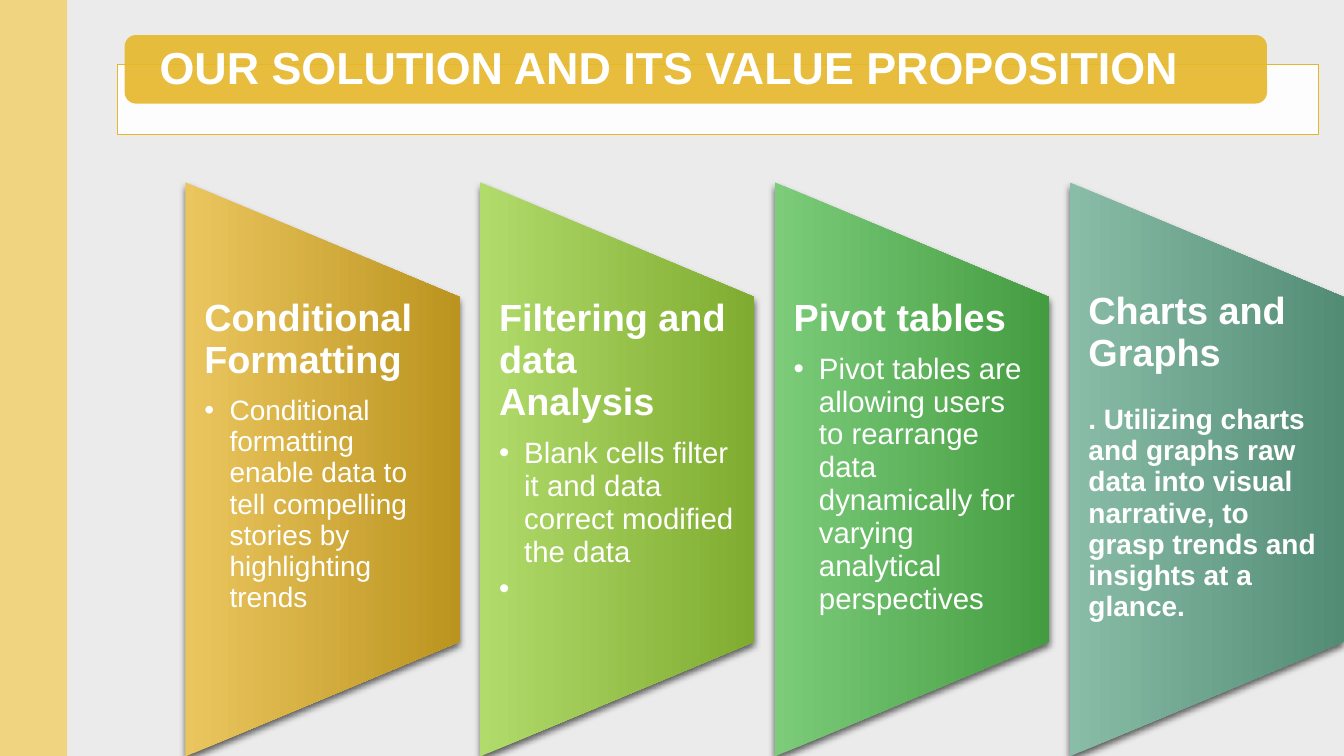
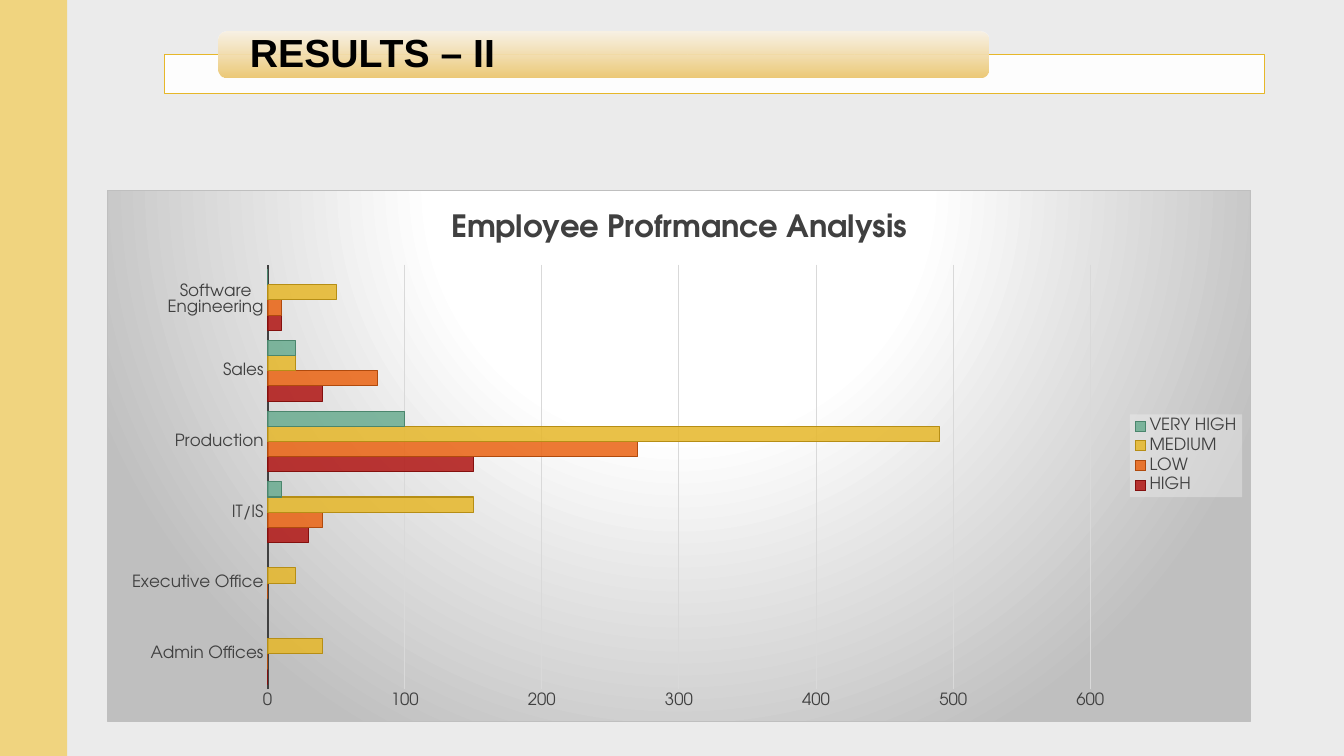
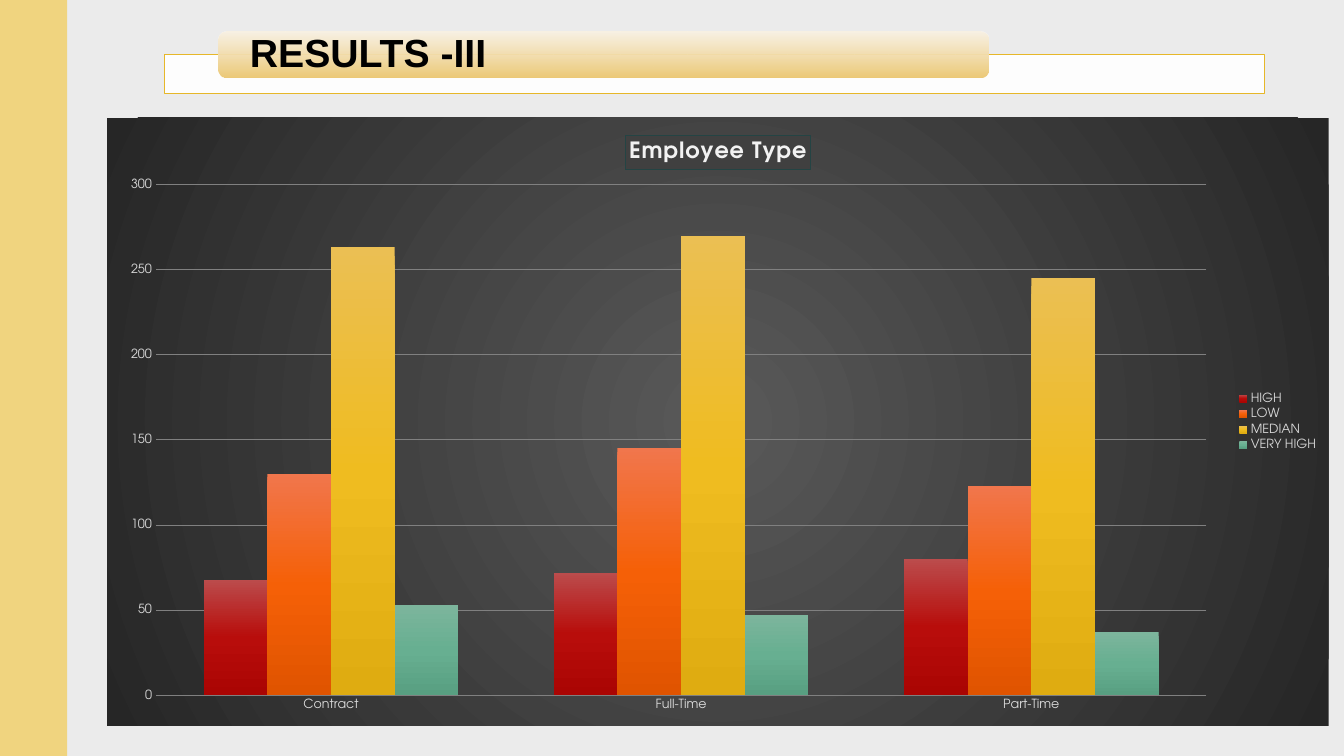
import pptx
import pptx.chart.data
import pptx.dml.color
import pptx.enum.chart
import pptx.enum.shapes
import pptx.enum.text
import pptx.oxml
import pptx.oxml.ns
import pptx.util
from dataclasses import dataclass

Pt = pptx.util.Pt
qn = pptx.oxml.ns.qn
SHAPE = pptx.enum.shapes.MSO_SHAPE
ANCHOR = pptx.enum.text.MSO_ANCHOR
KIND = pptx.enum.chart.XL_CHART_TYPE
NS = pptx.oxml.ns.nsdecls("a", "c")


@dataclass(frozen=True)
class Theme:
    page: str = "EBEBEB"
    band: str = "F0D47F"
    gold: str = "E6B729"
    white: str = "FFFFFF"
    black: str = "000000"
    font: str = "Arial"
    chart: str = "TeX Gyre Adventor"
    head: int = 27
    lead: float = 0.93


T = Theme()

# Title bars: boxes are left, top, width, height
WIDE = dict(frame=(84, 46, 858, 50), bar=(89, 25, 816, 49), pad=25,
            size=32, ink=T.white, fill=[(0, T.gold, 90)])
SLIM = dict(frame=(117.5, 39, 786, 28), bar=(156, 22.5, 550, 33), pad=22.5,
            size=28, ink=T.black, fill=[(0, "FAF2E3", 90), (100, "ECC977", 100)])

CARDS = [
    dict(head="Conditional Formatting", size=20, tint=("EBC65F", "BB941F"),
         items=["Conditional formatting enable data to tell compelling stories "
                "by highlighting trends"]),
    dict(head="Filtering and data Analysis", size=21, tint=("B1DB6B", "7FAC30"),
         items=["Blank cells filter it and data correct modified the data", " "]),
    dict(head="Pivot tables", size=21, tint=("7CCC7A", "449C41"),
         items=["Pivot tables are allowing users to rearrange data dynamically "
                "for varying analytical perspectives"]),
    dict(head="Charts and Graphs", size=20, tint=("89BDA7", "538C74"), lift=5, gap=21,
         note=". Utilizing charts and graphs raw data into visual narrative, to "
              "grasp trends and insights at a glance."),
]
CARD = dict(left=132.5, top=212.5, wide=196, high=245.5, step=210.5, long=410)

SCORES = dict(
    kind=KIND.BAR_CLUSTERED, box=(76.5, 135.5, 817, 380), gap=65,
    title="Employee Profrmance Analysis", head=22, size=12, track=0,
    ink="404040", tone="404040", grid="D9D9D9", axis="404040",
    back=[(0, "FFFFFF", 100), (39, "FFFFFF", 100), (100, "BFBFBF", 100)],
    focus=(50, -80, 50, 180), edge="BFBFBF", key=True,
    plot=(0.14, 0.14, 0.72, 0.8), top=600, unit=100,
    cats=["Admin Offices", "Executive Office", "IT/IS", "Production", "Sales",
          "Software Engineering"],
    series=[
        ("HIGH", [0, None, 30, 150, 40, 10], [(0, "B01513", 85)], "84100E"),
        ("LOW", [0, 0, 40, 270, 80, 10], [(0, "EA6312", 85)], "B04A0D"),
        ("MEDIUM", [40, 20, 150, 490, 20, 50], [(0, "E6B729", 85)], "B68E15"),
        ("VERY HIGH", [None, None, 10, 100, 20, 0], [(0, "6AAC90", 85)], "4B866D"),
    ])


def ramp(*tints):
    return [(at, tint, 100) for at, tint in zip((0, 50, 100), tints)]


TYPES = dict(
    kind=KIND.COLUMN_CLUSTERED, box=(76.5, 84, 872.5, 434.5), gap=150,
    title="Employee Type", head=16, size=9, track=0.8,
    ink="D9D9D9", tone="F2F2F2", grid="808080", axis=None,
    back=[(0, "595959", 100), (100, "262626", 100)],
    focus=(50, 50, 50, 50), edge=None, key=False,
    plot=(0.04, 0.11, 0.86, 0.84), top=300, unit=50,
    cats=["Contract", "Full-Time", "Part-Time"],
    series=[
        ("HIGH", [68, 72, 80], ramp("BB4C4C", "B80D0B", "AA0503"), None),
        ("LOW", [130, 145, 123], ramp("F1764C", "F56007", "E05400"), None),
        ("MEDIAN", [263, 270, 245], ramp("EBBF53", "EFBC20", "DFAC11"), None),
        ("VERY HIGH", [53, 47, 37], ramp("7CB59C", "67AF91", "589F81"), None),
    ])


def rgb(tint):
    return pptx.dml.color.RGBColor.from_string(tint)


def pts(box):
    return [Pt(n) for n in box]


def tinted(tint, alpha):
    return f'<a:srgbClr val="{tint}"><a:alpha val="{alpha * 1000}"/></a:srgbClr>'


def fill_xml(stops, focus=None):
    """One stop gives a solid fill, more give a gradient, radial with a focus."""
    if len(stops) == 1:
        return f"<a:solidFill {NS}>{tinted(*stops[0][1:])}</a:solidFill>"
    marks = "".join(f'<a:gs pos="{at * 1000}">{tinted(tint, alpha)}</a:gs>'
                    for at, tint, alpha in stops)
    run = '<a:lin ang="5400000" scaled="0"/>'
    if focus:
        sides = " ".join(f'{s}="{n * 1000}"' for s, n in zip("ltrb", focus))
        run = f'<a:path path="circle"><a:fillToRect {sides}/></a:path>'
    return f'<a:gradFill {NS} rotWithShape="1"><a:gsLst>{marks}</a:gsLst>{run}</a:gradFill>'


def dress(prior, stops, edge=None, focus=None):
    """Give a chart part its fill and outline, placed after the element prior."""
    line = f'<a:ln w="9525">{fill_xml([(0, edge, 100)])}</a:ln>' if edge else \
        "<a:ln><a:noFill/></a:ln>"
    prior.addnext(pptx.oxml.parse_xml(
        f"<c:spPr {NS}>{fill_xml(stops, focus)}{line}</c:spPr>"))


def block(slide, kind, box, stops, edge=None):
    shape = slide.shapes.add_shape(kind, *pts(box))
    shape.shadow.inherit = False
    shape.fill.solid()
    old = shape.element.spPr.find(qn("a:solidFill"))
    old.getparent().replace(old, pptx.oxml.parse_xml(fill_xml(stops)))
    if edge:
        shape.line.color.rgb = rgb(edge)
        shape.line.width = Pt(0.75)
    else:
        shape.line.fill.background()
    return shape


def write(para, text, size, ink, bold=True, after=0):
    para.line_spacing = T.lead
    para.space_after = Pt(after)
    run = para.add_run()
    run.text = text
    font = run.font
    font.name, font.size, font.bold = T.font, Pt(size), bold
    font.color.rgb = rgb(ink)


def bullet(para):
    prop = para._p.get_or_add_pPr()
    prop.set("marL", str(Pt(18)))
    prop.set("indent", str(Pt(-18)))
    prop.append(pptx.oxml.parse_xml(f'<a:buFont {NS} typeface="Arial"/>'))
    prop.append(pptx.oxml.parse_xml(f'<a:buChar {NS} char="•"/>'))


def frame(shape, pad, anchor):
    text = shape.text_frame
    text.word_wrap = True
    text.auto_size = pptx.enum.text.MSO_AUTO_SIZE.NONE
    text.vertical_anchor = anchor
    text.margin_left = text.margin_right = Pt(pad)
    text.margin_top = text.margin_bottom = 0
    return text


def start(deck, name, style):
    """Add a slide with its title on a bar."""
    slide = deck.slides.add_slide(deck.slide_layouts[5])
    block(slide, SHAPE.RECTANGLE, style["frame"], [(0, T.white, 90)], T.gold)
    block(slide, SHAPE.ROUNDED_RECTANGLE, style["bar"], style["fill"])
    title = slide.shapes.title
    title.left, title.top, title.width, title.height = pts(style["bar"])
    para = frame(title, style["pad"], ANCHOR.MIDDLE).paragraphs[0]
    para.alignment = pptx.enum.text.PP_ALIGN.LEFT
    write(para, name, style["size"], style["ink"])
    slide.shapes.element.append(title.element)
    return slide


def share(deck, slide):
    """Put the page colour and the side band under every slide."""
    back = deck.slide_master.background.fill
    back.solid()
    back.fore_color.rgb = rgb(T.page)
    band = block(slide, SHAPE.RECTANGLE, (0, 0, 48, 540), [(0, T.band, 100)])
    slide.slide_layout.shapes.element.append(band.element)


def shade(shape):
    glow = shape.element.spPr.find(qn("a:effectLst"))
    glow.append(pptx.oxml.parse_xml(
        f'<a:outerShdw {NS} blurRad="{Pt(5)}" dist="{Pt(3)}" dir="5400000" '
        f'rotWithShape="0">{tinted(T.black, 60)}</a:outerShdw>'))


def card(slide, spot, data):
    left, top = CARD["left"] + spot * CARD["step"], CARD["top"]
    wide, high, long = CARD["wide"], CARD["high"], CARD["long"]
    box = (left + (wide - long) / 2, top + (high - wide) / 2, long, wide)
    first, last = data["tint"]
    panel = block(slide, SHAPE.FLOWCHART_MANUAL_OPERATION, box,
                  [(0, first, 100), (100, last, 100)])
    panel.rotation = 270
    shade(panel)
    label = slide.shapes.add_textbox(*pts((left, top - data.get("lift", 0), wide, high)))
    text = frame(label, 13.5, ANCHOR.TOP)
    write(text.paragraphs[0], data["head"], T.head, T.white, after=data.get("gap", 9.5))
    for item in data.get("items", []):
        para = text.add_paragraph()
        bullet(para)
        write(para, item, data["size"], T.white, bold=False, after=3)
    if "note" in data:
        write(text.add_paragraph(), data["note"], data["size"], T.white)


def style(font, size, ink, bold=False):
    font.name, font.size, font.bold = T.chart, Pt(size), bold
    font.color.rgb = rgb(ink)


def graph(slide, data):
    feed = pptx.chart.data.CategoryChartData()
    feed.categories = data["cats"]
    for name, vals, _, _ in data["series"]:
        feed.add_series(name, vals)
    chart = slide.shapes.add_chart(data["kind"], *pts(data["box"]), feed).chart
    style(chart.font, data["size"], data["ink"])
    root = chart.element

    plot = chart.plots[0]
    plot.gap_width, plot.overlap, plot.vary_by_categories = data["gap"], 0, False
    for part, (_, _, stops, edge) in zip(root.iter(qn("c:ser")), data["series"]):
        dress(part.find(qn("c:tx")), stops, edge)

    chart.has_title = True
    head = chart.chart_title
    run = head.text_frame.paragraphs[0].add_run()
    run.text = data["title"]
    style(run.font, data["head"], data["tone"], True)
    if data["track"]:
        run.font._element.set("spc", str(int(data["track"] * 100)))
        head.format.fill.solid()
        head.format.fill.fore_color.rgb = rgb("404040")
        head.format.line.color.rgb = rgb("244444")
        head.format.line.width = Pt(0.75)

    for axis in (chart.category_axis, chart.value_axis):
        axis.major_tick_mark = axis.minor_tick_mark = pptx.enum.chart.XL_TICK_MARK.NONE
        style(axis.tick_labels.font, data["size"], data["ink"])
        axis.format.line.fill.background()
    if data["axis"]:
        line = chart.category_axis.format.line
        line.color.rgb = rgb(data["axis"])
        line.width = Pt(1.5)
    scale = chart.value_axis
    scale.minimum_scale, scale.maximum_scale = 0, data["top"]
    scale.major_unit = data["unit"]
    scale.major_gridlines.format.line.color.rgb = rgb(data["grid"])
    scale.major_gridlines.format.line.width = Pt(0.75)

    chart.has_legend = True
    chart.legend.position = pptx.enum.chart.XL_LEGEND_POSITION.RIGHT
    chart.legend.include_in_layout = False
    style(chart.legend.font, data["size"], data["ink"])
    if data["key"]:
        dress(root.find(".//" + qn("c:legend")).find(qn("c:overlay")), [(0, "F2F2F2", 39)])

    area = root.find(".//" + qn("c:plotArea"))
    for old in area.findall(qn("c:layout")):
        area.remove(old)
    sides = "".join(f'<c:{s} val="{n}"/>' for s, n in zip("xywh", data["plot"]))
    area.insert(0, pptx.oxml.parse_xml(
        f'<c:layout {NS}><c:manualLayout><c:layoutTarget val="inner"/>'
        f'<c:xMode val="edge"/><c:yMode val="edge"/>{sides}</c:manualLayout></c:layout>'))
    dress(root.find(qn("c:chart")), data["back"], data["edge"], data["focus"])


def main():
    deck = pptx.Presentation()
    deck.slide_width, deck.slide_height = Pt(960), Pt(540)
    slide = start(deck, "OUR SOLUTION AND ITS VALUE PROPOSITION", WIDE)
    share(deck, slide)
    for spot, data in enumerate(CARDS):
        card(slide, spot, data)
    for name, data in (("RESULTS – II", SCORES), ("RESULTS -III", TYPES)):
        graph(start(deck, name, SLIM), data)
    deck.save("out.pptx")


if __name__ == "__main__":
    main()
